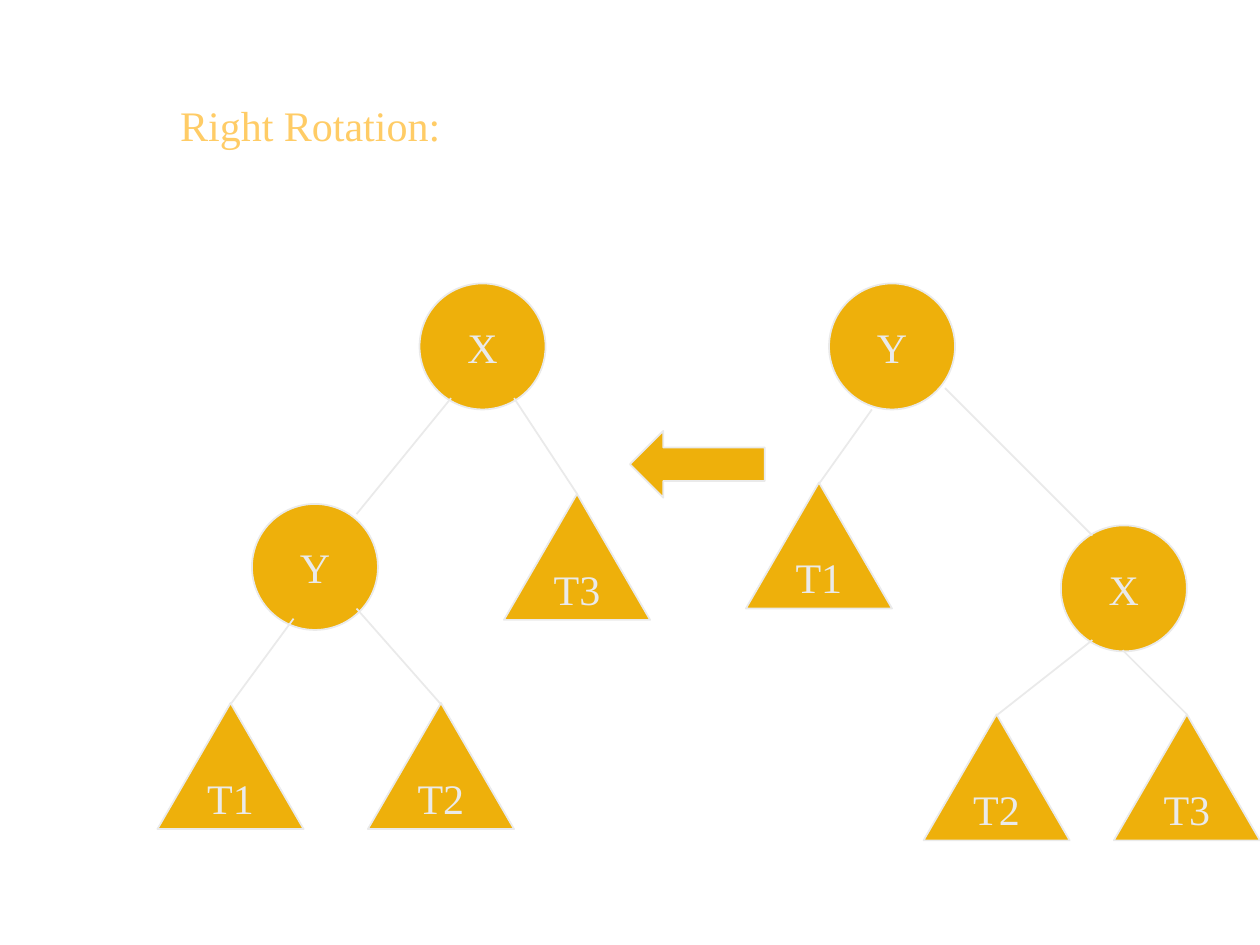
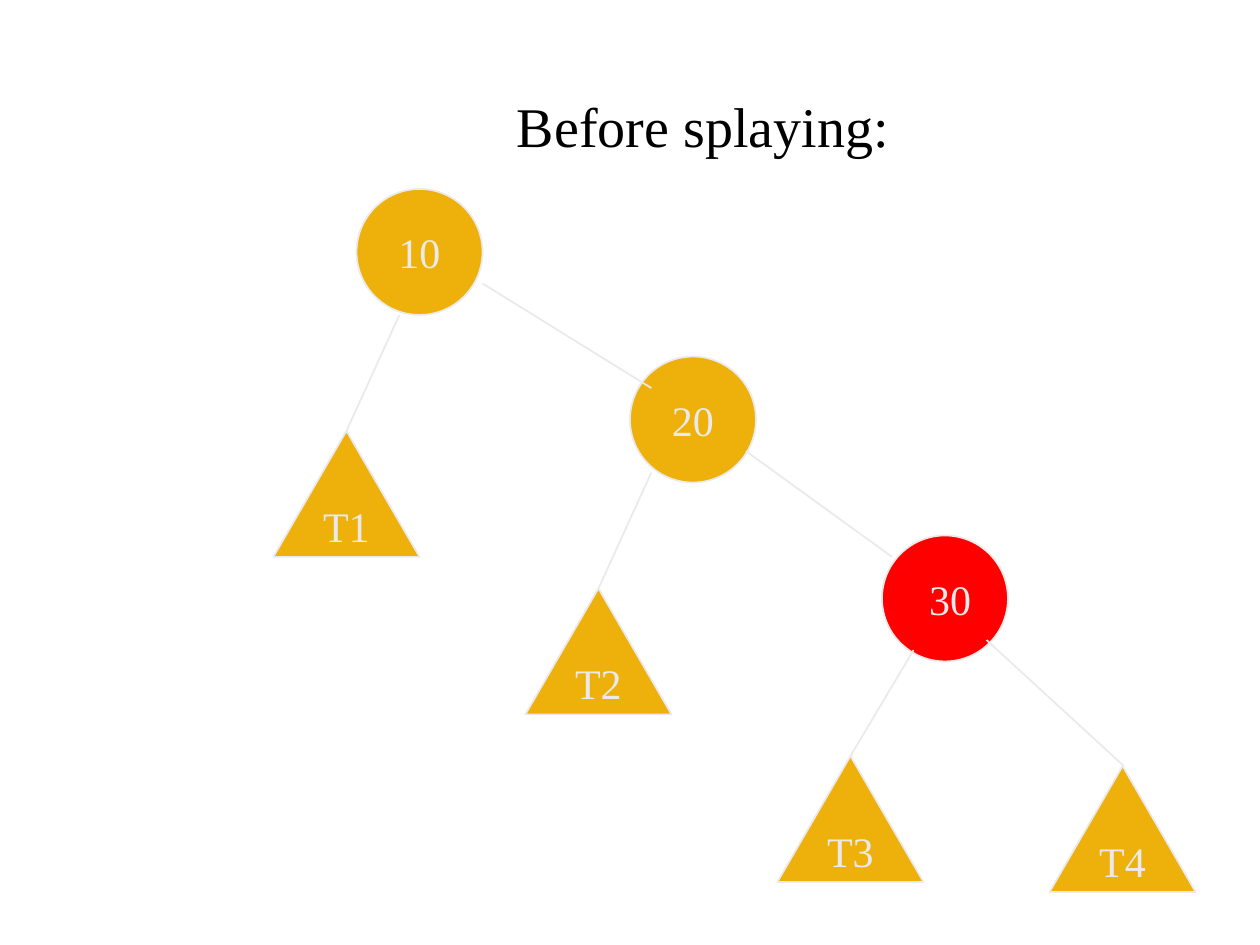
from dataclasses import dataclass
from lxml.etree import SubElement
from pptx import Presentation
from pptx.dml.color import RGBColor
from pptx.enum.shapes import MSO_CONNECTOR, MSO_SHAPE
from pptx.enum.text import MSO_ANCHOR, MSO_AUTO_SIZE, PP_ALIGN
from pptx.oxml.ns import qn
from pptx.util import Inches, Pt


@dataclass(frozen=True)
class Theme:
    font: str = "Times New Roman"
    gold: str = "EEB00B"
    red: str = "FF0000"
    pale: str = "EAEAEA"
    title_gold: str = "FFCC66"
    black: str = "000000"
    label_size: int = 24
    line_width: int = 1
    node_size: float = 1
    subtree_width: float = 1.16


theme = Theme()


def write_text(shape, text, size, color, alignment):
    frame = shape.text_frame
    frame.vertical_anchor = MSO_ANCHOR.MIDDLE
    frame.auto_size = MSO_AUTO_SIZE.NONE
    paragraph = frame.paragraphs[0]
    paragraph.alignment = alignment
    run = paragraph.add_run()
    run.text = text
    run.font.name = theme.font
    run.font.size = Pt(size)
    run.font.color.rgb = RGBColor.from_string(color)


def add_figure(slide, kind, left, top, width, height, fill):
    shape = slide.shapes.add_shape(
        kind, Inches(left), Inches(top), Inches(width), Inches(height))
    shape.shadow.inherit = False
    shape.fill.solid()
    shape.fill.fore_color.rgb = RGBColor.from_string(fill)
    shape.line.color.rgb = RGBColor.from_string(theme.pale)
    shape.line.width = Pt(theme.line_width)
    return shape


# Trees: nodes and subtrees are (label, left, top); edges run from parent to child
rotation = {
    "title": ("Right Rotation:", 24, theme.title_gold, PP_ALIGN.LEFT),
    "nodes": [("X", 3.33, 2.25), ("Y", 2, 4), ("Y", 6.58, 2.25), ("X", 8.42, 4.17)],
    "subtrees": [("T1", 1.25, 5.58), ("T2", 2.92, 5.58), ("T3", 4, 3.92),
                 ("T3", 8.84, 5.67), ("T2", 7.33, 5.67), ("T1", 5.92, 3.83)],
    "edges": [(3.58, 3.16, 2.83, 4.08), (2.33, 4.91, 1.83, 5.59),
              (2.83, 4.83, 3.5, 5.59), (4.08, 3.16, 4.58, 3.92),
              (6.92, 3.25, 6.5, 3.84), (7.5, 3.08, 8.67, 4.25),
              (8.67, 5.08, 7.92, 5.67), (8.91, 5.16, 9.42, 5.67)],
    "arrows": [(5, 3.42, 1.07, 0.53)],
    "splayed": None,
}
splaying = {
    "title": ("Before splaying:", 32, theme.black, PP_ALIGN.CENTER),
    "nodes": [("10", 2.83, 1.5), ("20", 5, 2.83), ("30", 7, 4.25)],
    "subtrees": [("T1", 2.17, 3.42), ("T3", 6.17, 6), ("T2", 4.17, 4.67),
                 ("T4", 8.33, 6.08)],
    "edges": [(3.17, 2.5, 2.75, 3.42), (5.17, 3.75, 4.75, 4.67),
              (7.25, 5.16, 6.75, 6), (7.83, 5.08, 8.92, 6.08),
              (3.83, 2.25, 5.17, 3.08), (5.92, 3.58, 7.08, 4.42)],
    "arrows": [],
    "splayed": "30",
}

presentation = Presentation()
presentation.slide_width = Inches(10)
presentation.slide_height = Inches(7.5)

for tree in (rotation, splaying):
    slide = presentation.slides.add_slide(presentation.slide_layouts[5])

    # Title
    title = slide.shapes.title
    title.left, title.top = Inches(1.33), Inches(0.33)
    title.width, title.height = Inches(8.5), Inches(1.32)
    write_text(title, *tree["title"])

    # Nodes and subtrees
    for group, kind, width in (
            ("nodes", MSO_SHAPE.OVAL, theme.node_size),
            ("subtrees", MSO_SHAPE.ISOSCELES_TRIANGLE, theme.subtree_width)):
        for label, left, top in tree[group]:
            splayed = label == tree["splayed"]
            shape = add_figure(slide, kind, left, top, width, theme.node_size,
                               theme.red if splayed else theme.gold)
            shape.text_frame.word_wrap = False
            write_text(shape, label, theme.label_size, theme.pale, PP_ALIGN.CENTER)
            if splayed:
                shape.text_frame.margin_left = Inches(0.18)

    # Edges
    for edge in tree["edges"]:
        connector = slide.shapes.add_connector(
            MSO_CONNECTOR.STRAIGHT, *(Inches(value) for value in edge))
        connector.line.color.rgb = RGBColor.from_string(theme.pale)
        connector.line.width = Pt(theme.line_width)
        SubElement(connector.element.spPr, qn("a:effectLst"))

    # Direction of the rotation
    for arrow in tree["arrows"]:
        add_figure(slide, MSO_SHAPE.LEFT_ARROW, *arrow, theme.gold)

presentation.save("out.pptx")
